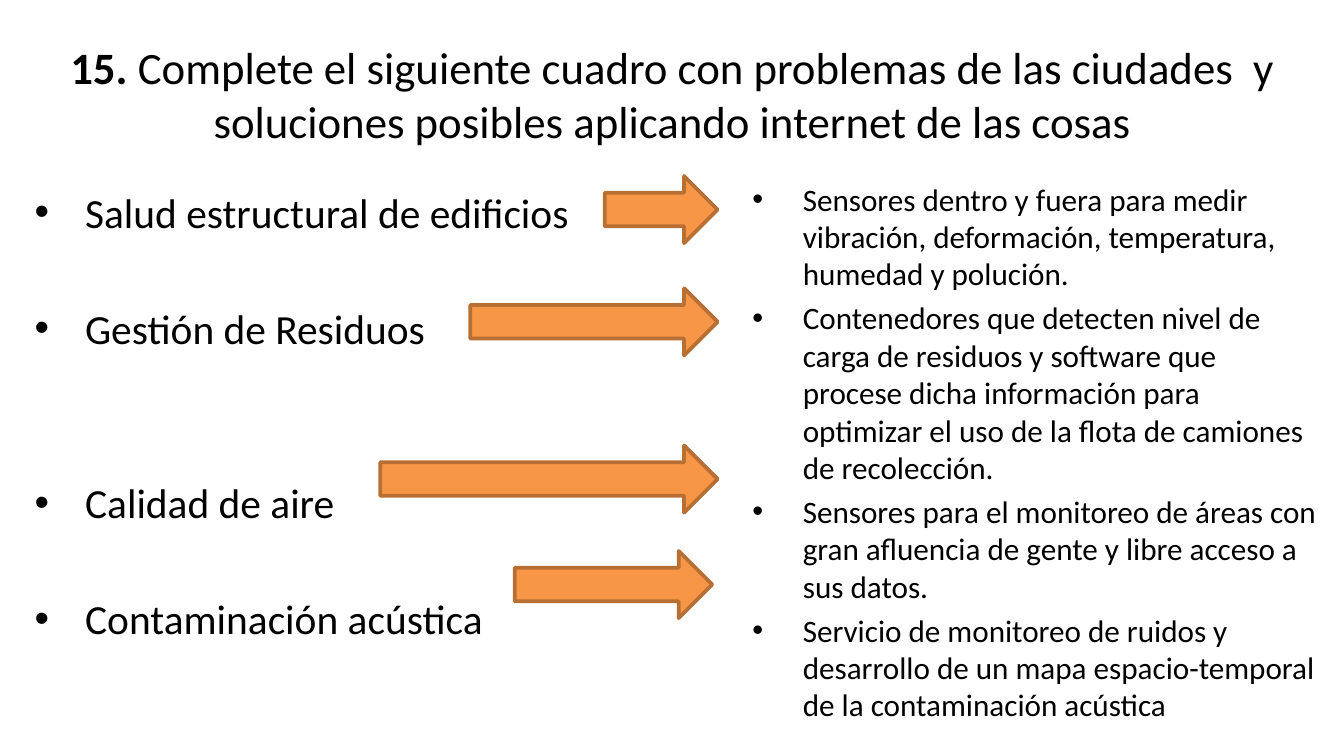
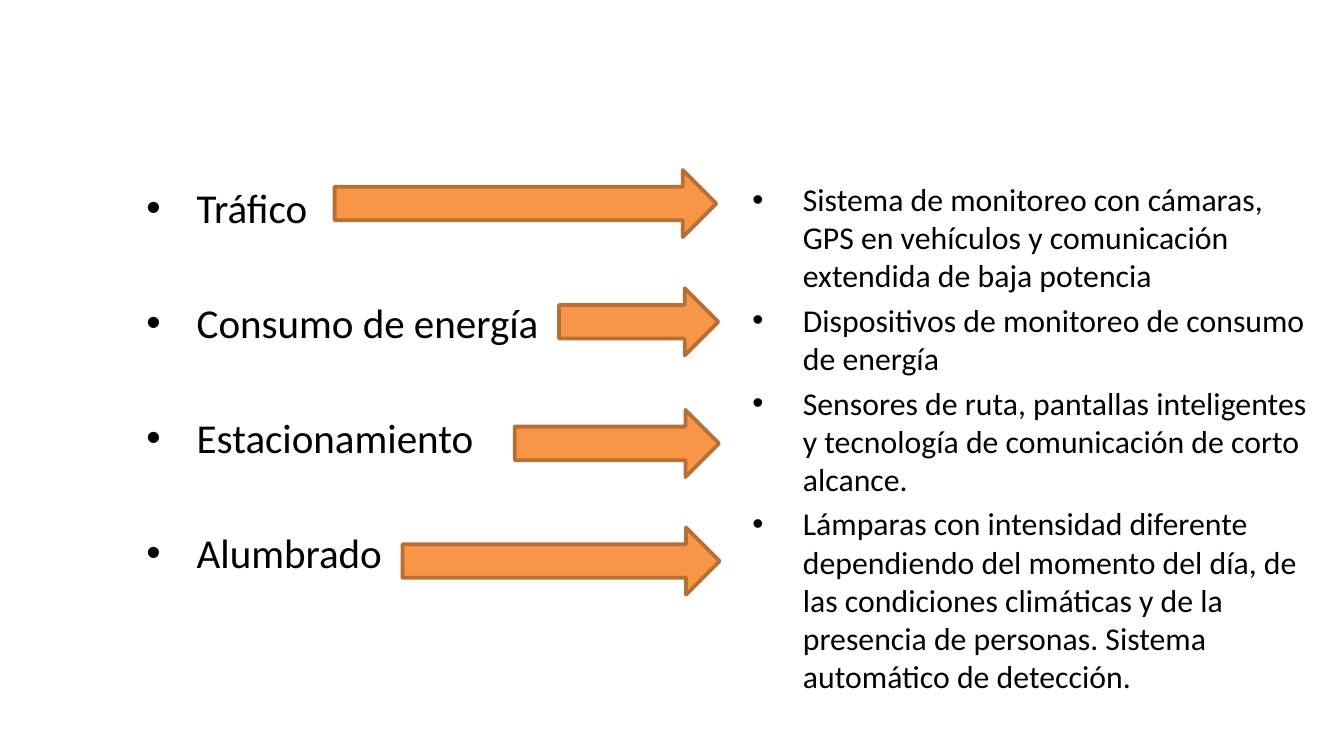
from dataclasses import dataclass

from lxml import etree
from pptx import Presentation
from pptx import util as u
from pptx.dml.color import RGBColor
from pptx.enum import shapes, text
from pptx.oxml import ns

PX = 4572
FONT = "Calibri"
INK = "000000"
ORANGE = "F79646"
BROWN = "B76F34"
HANGING = 75
ARROW_HEIGHT = 100
TITLE_ONLY, BLANK = 5, 6


@dataclass(frozen=True)
class Item:
    wording: str
    space_before: float = 0


@dataclass(frozen=True)
class BulletList:
    left: int
    top: int
    width: int
    height: int
    size: float
    items: list[Item]


@dataclass(frozen=True)
class Arrow:
    left: int
    top: int
    width: int


@dataclass(frozen=True)
class Comparison:
    problems: BulletList
    solutions: BulletList
    arrows: list[Arrow]
    heading: tuple[str, str] | None = None


def px(length: int) -> u.Emu:
    return u.Emu(length * PX)


def color(value: str) -> RGBColor:
    return RGBColor.from_string(value)


def style_font(font, size: float) -> None:
    font.name = FONT
    font.size = u.Pt(size)
    font.color.rgb = color(INK)


def add_bullet(paragraph) -> None:
    properties = paragraph._p.get_or_add_pPr()
    properties.set("marL", str(px(HANGING)))
    properties.set("indent", str(px(-HANGING)))
    etree.SubElement(properties, ns.qn("a:buFont"), typeface="Arial")
    etree.SubElement(properties, ns.qn("a:buChar"), char="•")


def draw_list(slide, bullets: BulletList) -> None:
    box = slide.shapes.add_textbox(
        px(bullets.left), px(bullets.top), px(bullets.width), px(bullets.height)
    )
    frame = box.text_frame
    frame.word_wrap = True
    for index, item in enumerate(bullets.items):
        paragraph = frame.add_paragraph() if index else frame.paragraphs[0]
        add_bullet(paragraph)
        paragraph.space_before = u.Pt(item.space_before)
        paragraph.text = item.wording
        style_font(paragraph.font, bullets.size)


def draw_arrow(slide, arrow: Arrow) -> None:
    pointer = slide.shapes.add_shape(
        shapes.MSO_SHAPE.RIGHT_ARROW,
        px(arrow.left), px(arrow.top), px(arrow.width), px(ARROW_HEIGHT),
    )
    pointer.shadow.inherit = False
    pointer.fill.solid()
    pointer.fill.fore_color.rgb = color(ORANGE)
    pointer.line.color.rgb = color(BROWN)
    pointer.line.width = u.Pt(2)


def draw_heading(slide, number: str, question: str) -> None:
    title = slide.shapes.title
    title.left, title.top, title.width, title.height = map(px, (65, 46, 1870, 187))
    frame = title.text_frame
    frame.word_wrap = True
    frame.vertical_anchor = text.MSO_ANCHOR.MIDDLE
    paragraph = frame.paragraphs[0]
    paragraph.alignment = text.PP_ALIGN.CENTER
    style_font(paragraph.font, 24)
    for wording, bold in ((number, True), (question, False)):
        run = paragraph.add_run()
        run.text = wording
        run.font.bold = bold


def draw_comparison(deck, comparison: Comparison) -> None:
    layout = TITLE_ONLY if comparison.heading else BLANK
    slide = deck.slides.add_slide(deck.slide_layouts[layout])
    if comparison.heading:
        draw_heading(slide, *comparison.heading)
    draw_list(slide, comparison.problems)
    draw_list(slide, comparison.solutions)
    for arrow in comparison.arrows:
        draw_arrow(slide, arrow)


def solutions(size: float, first: str, *others: str) -> BulletList:
    items = [Item(first), *(Item(other, 3.5) for other in others)]
    return BulletList(1100, 258, 882, 806, size, items)


COMPARISONS = [
    Comparison(
        heading=(
            "15. ",
            "Complete el siguiente cuadro con problemas de las ciudades  y "
            "soluciones posibles aplicando internet de las cosas",
        ),
        problems=BulletList(32, 268, 936, 802, 22.2, [
            Item("Salud estructural de edificios"),
            Item("Gestión de Residuos", 35.5),
            Item("Calidad de aire", 67),
            Item("Contaminación acústica", 35.5),
        ]),
        solutions=solutions(
            16.7,
            "Sensores dentro y fuera para medir vibración, deformación, "
            "temperatura, humedad y polución.",
            "Contenedores que detecten nivel de carga de residuos y software que "
            "procese dicha información para optimizar el uso de la flota de "
            "camiones de recolección.",
            "Sensores para el monitoreo de áreas con gran afluencia de gente y "
            "libre acceso a sus datos.",
            "Servicio de monitoreo de ruidos y desarrollo de un mapa "
            "espacio-temporal de la contaminación acústica",
        ),
        arrows=[
            Arrow(900, 262, 168),
            Arrow(700, 429, 368),
            Arrow(566, 663, 502),
            Arrow(766, 820, 294),
        ],
    ),
    Comparison(
        problems=BulletList(198, 262, 902, 802, 22, [
            Item("Tráfico"),
            Item("Consumo de energía", 35.2),
            Item("Estacionamiento", 35.2),
            Item("Alumbrado", 35.2),
        ]),
        solutions=solutions(
            17,
            "Sistema de monitoreo con cámaras, GPS en vehículos y comunicación "
            "extendida de baja potencia",
            "Dispositivos de monitoreo de consumo de energía",
            "Sensores de ruta, pantallas inteligentes y tecnología de "
            "comunicación de corto alcance.",
            "Lámparas con intensidad diferente dependiendo del momento del día, "
            "de las condiciones climáticas y de la presencia de personas. "
            "Sistema automático de detección.",
        ),
        arrows=[
            Arrow(498, 253, 568),
            Arrow(832, 429, 237),
            Arrow(766, 610, 304),
            Arrow(599, 785, 472),
        ],
    ),
]


def main() -> None:
    deck = Presentation()
    deck.slide_width, deck.slide_height = px(2000), px(1125)
    for comparison in COMPARISONS:
        draw_comparison(deck, comparison)
    deck.save("out.pptx")


if __name__ == "__main__":
    main()
